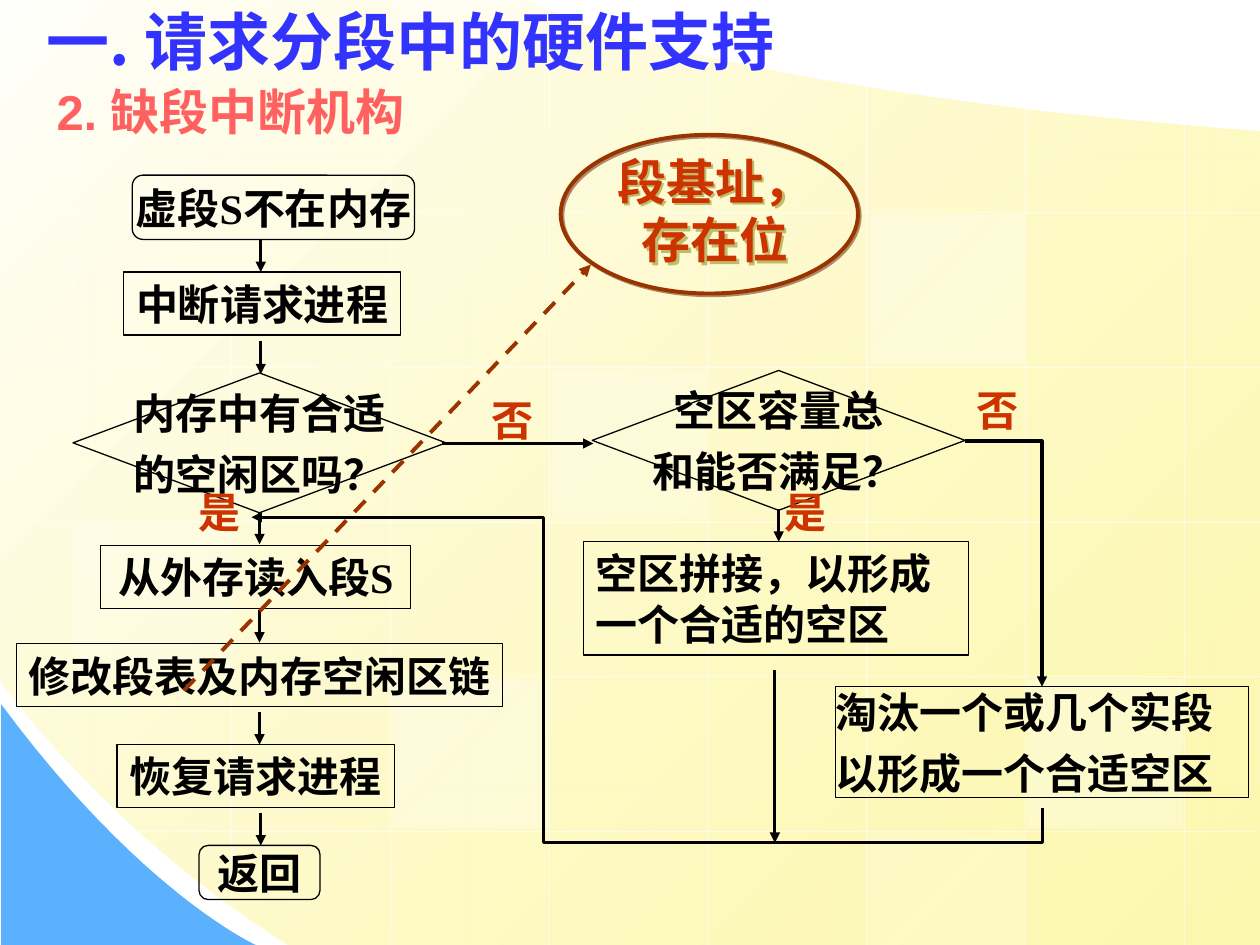
from dataclasses import dataclass
from lxml import etree
from pptx import Presentation
from pptx.dml.color import RGBColor
from pptx.enum.dml import MSO_LINE as Dash
from pptx.enum.shapes import MSO_CONNECTOR as Link, MSO_SHAPE as Form
from pptx.enum.text import MSO_ANCHOR as Anchor, MSO_AUTO_SIZE as Fit, PP_ALIGN as Align
from pptx.oxml import parse_xml
from pptx.oxml.ns import nsdecls, qn
from pptx.util import Inches, Pt


@dataclass(frozen=True)
class Theme:
    cream: str = "FFFFFB"
    yellow: str = "FDF58D"
    sky: str = "5CB1FE"
    white: str = "FFFFFF"
    ink: str = "000000"
    title: str = "3333FF"
    heading: str = "FF6161"
    answer: str = "CC3300"
    accent: str = "993300"
    ring_shadow: str = "5C1F00"
    text_shadow: str = "808000"
    cjk: str = "Noto Sans CJK SC"
    sans: str = "Arial"
    serif: str = "Times New Roman"
    title_size: float = 36
    heading_size: float = 28
    body_size: float = 24
    thin: float = 0.75
    flow: float = 1.75
    bold: float = 2.25


THEME = Theme()
WIDTH, HEIGHT = 10, 7.5
PAD = (0.1, 0.05)

# Background: start point, then cubic curves or straight steps
FIELD = [(10, 1.04), [(10, 4.27), (10, 7.5), (10, 7.5)], (2.3, 7.5),
         [(0.86, 6.61), (-0.01, 5.39), (0, 5.39)], (-0.01, -0.01), (4.21, 0.01),
         [(4.21, 0.01), (5.37, 0.69), (10, 1.04)]]
CORNER = [(0.01, 5.59), (0.01, 7.5), (2.03, 7.5),
          [(2.03, 7.5), (1.12, 7.09), (0.01, 5.59)]]
CELL = (1.26, 1.228)
GRID_START = (0.58, 0.46)
COLUMN_SPANS = [(0, 6.09), (0, 7.19), (0, 7.5), (0, 7.5),
                (0.43, 7.5), (0.68, 7.5), (0.85, 7.5), (0.98, 7.5)]
ROW_SPANS = [(0, 5.68), (0, 10), (0, 10), (0, 10), (0, 10), (1.11, 9.97)]
# Tinted cells: column, row, opacity in percent
TINTS = [(3, 2, 25), (6, 4, 30), (0, 3, 20), (5, 5, 20), (2, -1, 40), (2, 4, 30), (5, 1, 30)]

# Flowchart: kind, centre x, top, width, height, lines
STEPS = [
    ("terminal", 2.17, 1.39, 2.24, 0.51, ["虚段S不在内存"]),
    ("process", 2.08, 2.16, 2.2, 0.5, ["中断请求进程"]),
    ("decision", 2.06, 2.96, 2.96, 1.11, ["内存中有合适", "的空闲区吗？"]),
    ("process", 2.03, 4.33, 2.46, 0.5, ["从外存读入段S"]),
    ("process", 2.06, 5.11, 3.86, 0.5, ["修改段表及内存空闲区链"]),
    ("process", 2.03, 5.91, 2.2, 0.5, ["恢复请求进程"]),
    ("terminal", 2.06, 6.71, 0.96, 0.43, ["返回"]),
    ("decision", 6.18, 2.94, 2.96, 1.11, ["空区容量总", "和能否满足？"]),
    ("note", 6.16, 4.3, 3.06, 0.9, ["空区拼接，以形成一个合适的空区"]),
    ("flush note", 8.27, 5.45, 3.28, 0.88, ["淘汰一个或几个实段", "以形成一个合适空区"]),
]
FORMS = {"terminal": Form.FLOWCHART_ALTERNATE_PROCESS, "decision": Form.FLOWCHART_DECISION}
PADS = {"process": (0.02, 0.05), "note": PAD}
ANSWERS = [("否", 3.8, 3.08), ("是", 1.48, 3.81), ("否", 7.65, 3), ("是", 6.13, 3.81)]
# Short downward arrows: x, top
DROPS = [(2.07, 1.9), (2.07, 2.71), (2.06, 4.06), (2.06, 4.84), (2.06, 5.65),
         (2.07, 6.45), (6.18, 4.04)]
DROP_LENGTH = 0.26

deck = Presentation()
deck.slide_width, deck.slide_height = Inches(WIDTH), Inches(HEIGHT)
page = deck.slides.add_slide(deck.slide_layouts[6])


def color(code):
    return RGBColor.from_string(code)


def fade(parent, percent):
    for tone in parent.iter(qn("a:srgbClr")):
        etree.SubElement(tone, qn("a:alpha")).set("val", str(percent * 1000))


def outline(points):
    """Flatten straight steps and cubic curves into one list of points."""
    flat = [points[0]]
    for part in points[1:]:
        if isinstance(part, tuple):
            flat.append(part)
            continue
        knots = [flat[-1], *part]
        for step in range(1, 25):
            t = step / 24
            weights = ((1 - t) ** 3, 3 * t * (1 - t) ** 2, 3 * t * t * (1 - t), t ** 3)
            flat.append(tuple(sum(w * k[axis] for w, k in zip(weights, knots))
                              for axis in (0, 1)))
    return flat


def add_area(points):
    flat = [(Inches(x), Inches(y)) for x, y in outline(points)]
    builder = page.shapes.build_freeform(*flat[0])
    builder.add_line_segments(flat[1:], close=True)
    area = builder.convert_to_shape()
    area.shadow.inherit = False
    area.line.fill.background()
    return area


def add_form(form, left, top, width, height, stroke=None, weight=THEME.thin):
    shape = page.shapes.add_shape(form, *map(Inches, (left, top, width, height)))
    shape.shadow.inherit = False
    shape.fill.background()
    if stroke:
        shape.line.color.rgb, shape.line.width = color(stroke), Pt(weight)
    else:
        shape.line.fill.background()
    return shape


def add_line(start, end, stroke=THEME.ink, weight=THEME.flow, arrow=True, kind=Link.STRAIGHT):
    line = page.shapes.add_connector(kind, *map(Inches, (*start, *end)))
    line.line.color.rgb, line.line.width = color(stroke), Pt(weight)
    if arrow:
        etree.SubElement(line.line._get_or_add_ln(), qn("a:tailEnd")).set("type", "triangle")
    etree.SubElement(line._element.spPr, qn("a:effectLst"))
    return line


def bend(line, preset, *adjusts):
    geometry = line._element.spPr.find(qn("a:prstGeom"))
    geometry.set("prst", preset)
    guides = geometry.get_or_add_avLst()
    for number, value in enumerate(adjusts, 1):
        guide = etree.SubElement(guides, qn("a:gd"))
        guide.set("name", f"adj{number}")
        guide.set("fmla", f"val {value}")


def cast_shadow(shape, tone, distance):
    shape.shadow.inherit = False
    effects = shape._element.spPr.find(qn("a:effectLst"))
    effects.append(parse_xml(
        f'<a:outerShdw {nsdecls("a")} dist="{Pt(distance)}" dir="2700000">'
        f'<a:srgbClr val="{tone}"/></a:outerShdw>'))
    fade(effects, 50)


def write(shape, lines, tone, size, face, align=Align.CENTER, anchor=Anchor.TOP,
          pad=PAD, wrap=False):
    frame = shape.text_frame
    frame.margin_left = frame.margin_right = Inches(pad[0])
    frame.margin_top = frame.margin_bottom = Inches(pad[1])
    frame.word_wrap, frame.auto_size, frame.vertical_anchor = wrap, Fit.NONE, anchor
    for index, text in enumerate(lines):
        para = frame.add_paragraph() if index else frame.paragraphs[0]
        para.text, para.alignment = text, align
        para.space_before = Pt(6 if index else 0)
        font = para.font
        font.name, font.size, font.bold = face, Pt(size), True
        font.color.rgb = color(tone)
        etree.SubElement(font._element, qn("a:ea")).set("typeface", THEME.cjk)


def add_text(left, top, width, height, lines, *style, **options):
    box = page.shapes.add_textbox(*map(Inches, (left, top, width, height)))
    write(box, lines, *style, **options)
    return box


# Background areas, grid and tinted cells
field = add_area(FIELD)
field.fill.gradient()
field.fill.gradient_angle = 315
for stop, tone in zip(field.fill.gradient_stops, (THEME.cream, THEME.yellow)):
    stop.color.rgb = color(tone)
fade(field.fill.gradient_stops[1]._gs, 70)
corner = add_area(CORNER)
corner.fill.solid()
corner.fill.fore_color.rgb = color(THEME.sky)

rules = [((GRID_START[0] + i * CELL[0], a), (GRID_START[0] + i * CELL[0], b))
         for i, (a, b) in enumerate(COLUMN_SPANS)]
rules += [((b, GRID_START[1] + i * CELL[1]), (a, GRID_START[1] + i * CELL[1]))
          for i, (a, b) in enumerate(ROW_SPANS)]
for start, end in rules:
    fade(add_line(start, end, THEME.white, THEME.thin, arrow=False)._element.spPr, 50)
for column, row, opacity in TINTS:
    left, top = (GRID_START[i] + n * CELL[i] + 0.02 for i, n in enumerate((column, row)))
    bottom = min(top + 1.18, HEIGHT)
    top = max(top, 0)
    tint = add_form(Form.RECTANGLE, left, top, 1.23, bottom - top)
    tint.fill.solid()
    tint.fill.fore_color.rgb = color(THEME.white)
    fade(tint._element.spPr, opacity)

# Headings
add_text(0.27, 0, 9, 0.64, ["一. 请求分段中的硬件支持"], THEME.title, THEME.title_size,
         THEME.cjk, align=Align.LEFT, anchor=Anchor.MIDDLE, wrap=True)
add_text(0.35, 0.6, 9.45, 0.63, ["2. 缺段中断机构"], THEME.heading, THEME.heading_size,
         THEME.sans, align=Align.LEFT, wrap=True)

# Flowchart steps and answers
for kind, center, top, width, height, lines in STEPS:
    step = add_form(FORMS.get(kind, Form.RECTANGLE), center - width / 2, top, width, height,
                    THEME.ink)
    note = kind.endswith("note")
    write(step, lines, THEME.ink, THEME.body_size, THEME.serif,
          align=Align.LEFT if note else Align.CENTER,
          anchor=Anchor.MIDDLE if kind in FORMS else Anchor.TOP,
          pad=PADS.get(kind, (0, 0)), wrap=note)
for word, left, top in ANSWERS:
    add_text(left, top, 0.53, 0.5, [word], THEME.answer, THEME.body_size, THEME.serif)

# Flow arrows
for x, top in DROPS:
    add_line((x, top), (x, top + DROP_LENGTH))
add_line((3.51, 3.52), (4.71, 3.52))
add_line((6.15, 5.32), (6.15, 6.69))
bend(add_line((7.66, 3.5), (8.27, 5.45), kind=Link.ELBOW), "bentConnector2")
loop = add_line((3.98, 8.4), (6.29, 2.12), kind=Link.ELBOW)
loop._element.spPr.find(qn("a:xfrm")).set("rot", str(270 * 60000))
bend(loop, "bentConnector4", -11800, 63100)

# Callout on the segment table fields
callout = add_text(4.69, 1.15, 1.97, 1.04, ["段基址，存在位"], THEME.answer,
                   THEME.heading_size, THEME.sans, wrap=True)
callout.fill.background()
cast_shadow(callout, THEME.text_shadow, 2)
ring = add_form(Form.OVAL, 4.45, 1.07, 2.36, 1.26, THEME.accent, THEME.bold)
cast_shadow(ring, THEME.ring_shadow, 1.4)
pointer = add_line((1.46, 5.48), (4.69, 2.1), THEME.accent, THEME.bold)
pointer.line.dash_style = Dash.DASH

deck.save("out.pptx")
